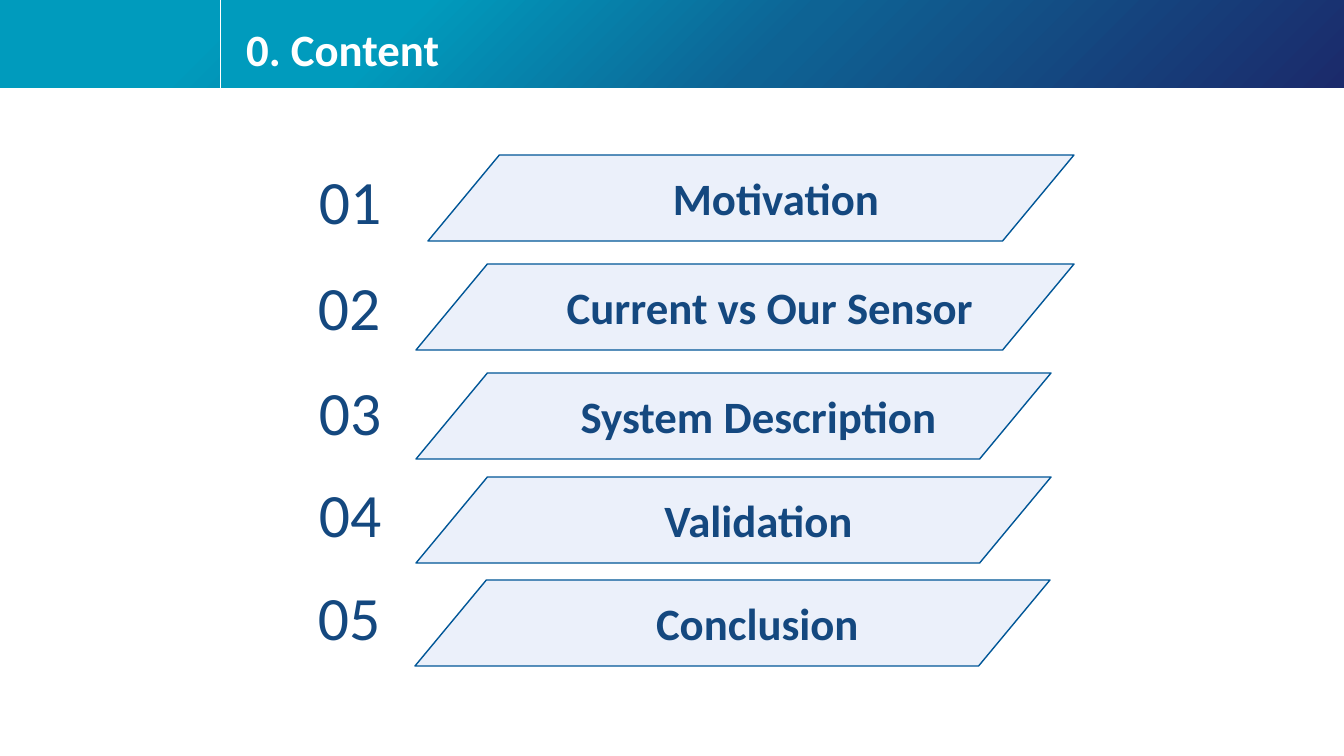
import copy

import pptx
import pptx.dml.color
import pptx.enum.shapes
import pptx.enum.text
import pptx.oxml.ns
import pptx.util
from lxml import etree

RGBColor = pptx.dml.color.RGBColor
MSO_SHAPE = pptx.enum.shapes.MSO_SHAPE
PP_ALIGN = pptx.enum.text.PP_ALIGN
MSO_ANCHOR = pptx.enum.text.MSO_ANCHOR

TEAL = RGBColor(0x00, 0x9B, 0xBD)
BLUE = RGBColor(0x0E, 0x63, 0x94)
NAVY = RGBColor(0x1B, 0x2A, 0x6B)
WHITE = RGBColor(0xFF, 0xFF, 0xFF)
INK = RGBColor(0x14, 0x48, 0x7F)
PALE = RGBColor(0xEB, 0xF0, 0xFA)
OUTLINE = RGBColor(0x00, 0x56, 0x97)
FONT = "Calibri"

# Content: topic, bar (left, top, width), number (left, top), in px
HEADING = "0. Content"
AGENDA = [
    ("Motivation", (428, 155, 646), (309, 158)),
    ("Current vs Our Sensor", (416, 264, 658), (308, 264)),
    ("System Description", (416, 373, 635), (309, 369)),
    ("Validation", (416, 477, 635), (309, 471)),
    ("Conclusion", (415, 580, 635), (308, 574)),
]
GRADIENT = [(0.17, TEAL), (0.5, BLUE), (1, NAVY)]
SLIDE_W, SLIDE_H = 1344, 756
HEADER_H, DIVIDER_X = 88, 220
BAR_H, BAR_SLANT, BAR_INDENT = 86, 0.83, 50
NUMBER_W, NUMBER_H = 99, 85


def px(length):
    return pptx.util.Emu(round(length * 12192000 / SLIDE_W))


def box(left, top, width, height):
    return px(left), px(top), px(width), px(height)


def style(paragraph, size, color, bold=False):
    paragraph.font.name = FONT
    paragraph.font.size = pptx.util.Pt(size)
    paragraph.font.bold = bold
    paragraph.font.color.rgb = color


def add_band(slide, left):
    band = slide.shapes.add_shape(MSO_SHAPE.RECTANGLE,
                                  *box(left, 0, SLIDE_W - left, HEADER_H))
    band.shadow.inherit = False
    band.line.fill.background()
    band.fill.gradient()
    band.fill.gradient_angle = 315
    stop_list = band._element.spPr.find(".//" + pptx.oxml.ns.qn("a:gsLst"))
    stop_list.append(copy.deepcopy(stop_list[-1]))
    for stop, (position, color) in zip(band.fill.gradient_stops, GRADIENT):
        stop.position = position
        stop.color.rgb = color


def add_header(slide):
    for left in (0, DIVIDER_X):
        add_band(slide, left)

    divider = slide.shapes.add_connector(
        pptx.enum.shapes.MSO_CONNECTOR.STRAIGHT,
        px(DIVIDER_X), px(0), px(DIVIDER_X), px(HEADER_H))
    divider.line.color.rgb = WHITE
    divider.line.width = pptx.util.Pt(0.5)
    etree.SubElement(divider._element.spPr, pptx.oxml.ns.qn("a:effectLst"))

    # Title goes in front of the bands
    heading = slide.shapes.title
    slide.shapes._spTree.append(heading._element)
    heading.left, heading.top, heading.width, heading.height = box(236, 23, 359, 59)
    heading.text_frame.text = HEADING
    heading.text_frame.auto_size = pptx.enum.text.MSO_AUTO_SIZE.NONE
    heading.text_frame.vertical_anchor = MSO_ANCHOR.TOP
    paragraph = heading.text_frame.paragraphs[0]
    paragraph.alignment = PP_ALIGN.LEFT
    paragraph.line_spacing = 0.9
    style(paragraph, 32, WHITE, bold=True)


def add_topic(slide, topic, left, top, width):
    bar = slide.shapes.add_shape(MSO_SHAPE.PARALLELOGRAM,
                                 *box(left, top, width, BAR_H))
    bar.adjustments[0] = BAR_SLANT
    bar.shadow.inherit = False
    bar.fill.solid()
    bar.fill.fore_color.rgb = PALE
    bar.line.color.rgb = OUTLINE
    bar.line.width = pptx.util.Pt(1)
    bar.text_frame.text = topic
    bar.text_frame.vertical_anchor = MSO_ANCHOR.BOTTOM
    paragraph = bar.text_frame.paragraphs[0]
    paragraph.level = 1
    paragraph.alignment = PP_ALIGN.CENTER
    paragraph.line_spacing = 2.0
    properties = paragraph._p.get_or_add_pPr()
    properties.set("marL", str(px(BAR_INDENT)))
    properties.set("indent", "0")
    style(paragraph, 32, INK, bold=True)


def add_number(slide, number, left, top):
    label = slide.shapes.add_textbox(*box(left, top, NUMBER_W, NUMBER_H))
    label.text_frame.word_wrap = True
    label.text_frame.text = f"{number:02d}"
    style(label.text_frame.paragraphs[0], 44, INK)


def main():
    deck = pptx.Presentation()
    deck.slide_width, deck.slide_height = px(SLIDE_W), px(SLIDE_H)
    slide = deck.slides.add_slide(deck.slide_layouts.get_by_name("Title Only"))
    add_header(slide)

    # Agenda rows
    for number, (topic, bar_place, number_place) in enumerate(AGENDA, start=1):
        add_topic(slide, topic, *bar_place)
        add_number(slide, number, *number_place)

    deck.save("out.pptx")


if __name__ == "__main__":
    main()
